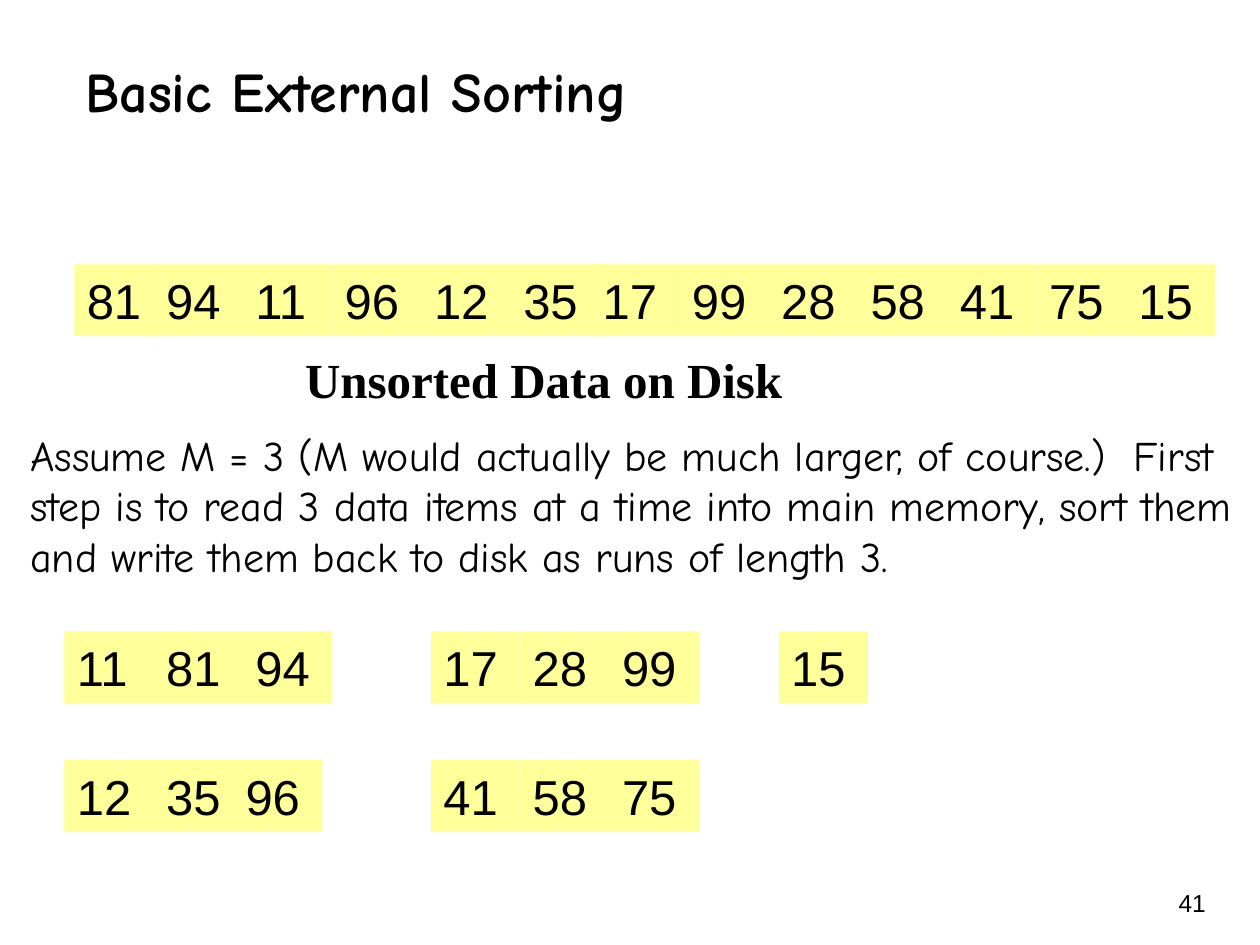
from dataclasses import dataclass

from pptx import Presentation
from pptx.dml.color import RGBColor
from pptx.enum import shapes, text
from pptx.util import Cm, Pt


@dataclass(frozen=True)
class Theme:
    ink: RGBColor = RGBColor(0x00, 0x00, 0x00)
    cell_fill: RGBColor = RGBColor(0xFF, 0xFF, 0x99)
    heading_font: str = "Comic Neue"
    data_font: str = "Arial"
    caption_font: str = "Times New Roman"
    title_size: int = 32
    data_size: int = 28
    body_size: int = 24
    number_size: int = 14


class SlideBuilder:
    CELL_WIDTH, CELL_HEIGHT = 1.8, 1.45
    OVERLAP = 0.2  # some neighbouring cells overlap by this much

    def __init__(self, slide, theme):
        self.slide = slide
        self.theme = theme

    def set_words(self, frame, words, font, size, bold=False,
                  align=text.PP_ALIGN.LEFT, anchor=text.MSO_ANCHOR.TOP):
        frame.text = words
        frame.word_wrap = True
        frame.vertical_anchor = anchor
        paragraph = frame.paragraphs[0]
        paragraph.alignment = align
        style = paragraph.runs[0].font
        style.name, style.size, style.bold = font, Pt(size), bold
        style.color.rgb = self.theme.ink

    def title(self, words, left, top, width, height):
        heading = self.slide.shapes.title
        heading.left, heading.top = Cm(left), Cm(top)
        heading.width, heading.height = Cm(width), Cm(height)
        self.set_words(heading.text_frame, words, self.theme.heading_font,
                       self.theme.title_size, bold=True,
                       anchor=text.MSO_ANCHOR.MIDDLE)

    def label(self, words, left, top, width, height, font, size, **style):
        box = self.slide.shapes.add_textbox(
            Cm(left), Cm(top), Cm(width), Cm(height))
        self.set_words(box.text_frame, words, font, size, **style)

    def cell(self, value, left, top):
        block = self.slide.shapes.add_shape(
            shapes.MSO_SHAPE.RECTANGLE, Cm(left), Cm(top),
            Cm(self.CELL_WIDTH), Cm(self.CELL_HEIGHT))
        block.shadow.inherit = False
        block.fill.solid()
        block.fill.fore_color.rgb = self.theme.cell_fill
        block.line.fill.background()
        self.set_words(block.text_frame, str(value), self.theme.data_font,
                       self.theme.data_size)

    def cell_row(self, values, left, top, overlapping=()):
        """Place values side by side; those in overlapping sit closer."""
        for index, value in enumerate(values):
            if value in overlapping:
                left -= self.OVERLAP
            self.cell(value, left + index * self.CELL_WIDTH, top)


def main():
    theme = Theme()
    deck = Presentation()
    deck.slide_width, deck.slide_height = Cm(25.4), Cm(19.05)
    title_only = deck.slide_layouts[5]
    page = SlideBuilder(deck.slides.add_slide(title_only), theme)

    page.title("Basic External Sorting", 1.47, 0.64, 21.6, 2.36)

    # Unsorted data
    unsorted_data = [81, 94, 11, 96, 12, 35, 17, 99, 28, 58, 41, 75, 15]
    page.cell_row(unsorted_data, 1.5, 5.33, overlapping=(94, 17))
    page.label("Unsorted Data on Disk", 5.9, 6.93, 14.4, 1.45,
               theme.caption_font, theme.data_size, bold=True)

    # Explanation
    page.label(
        "Assume M = 3 (M would actually be much larger, of course.)  First "
        "step is to read 3 data items at a time into main memory, sort them "
        "and write them back to disk as runs of length 3.",
        0.36, 8.53, 25.04, 3.3, theme.heading_font, theme.body_size)

    # Sorted runs of length 3
    upper, lower = 12.73, 15.32
    first, second, third = 1.3, 8.69, 15.7
    page.cell_row([11, 81, 94], first, upper)
    page.cell_row([12, 35, 96], first, lower, overlapping=(96,))
    page.cell_row([17, 28, 99], second, upper)
    page.cell_row([41, 58, 75], second, lower)
    page.cell_row([15], third, upper)

    # Slide number
    page.label("41", 22.68, 17.78, 1.88, 1.27, theme.data_font,
               theme.number_size, align=text.PP_ALIGN.RIGHT)

    deck.save("out.pptx")


if __name__ == "__main__":
    main()
